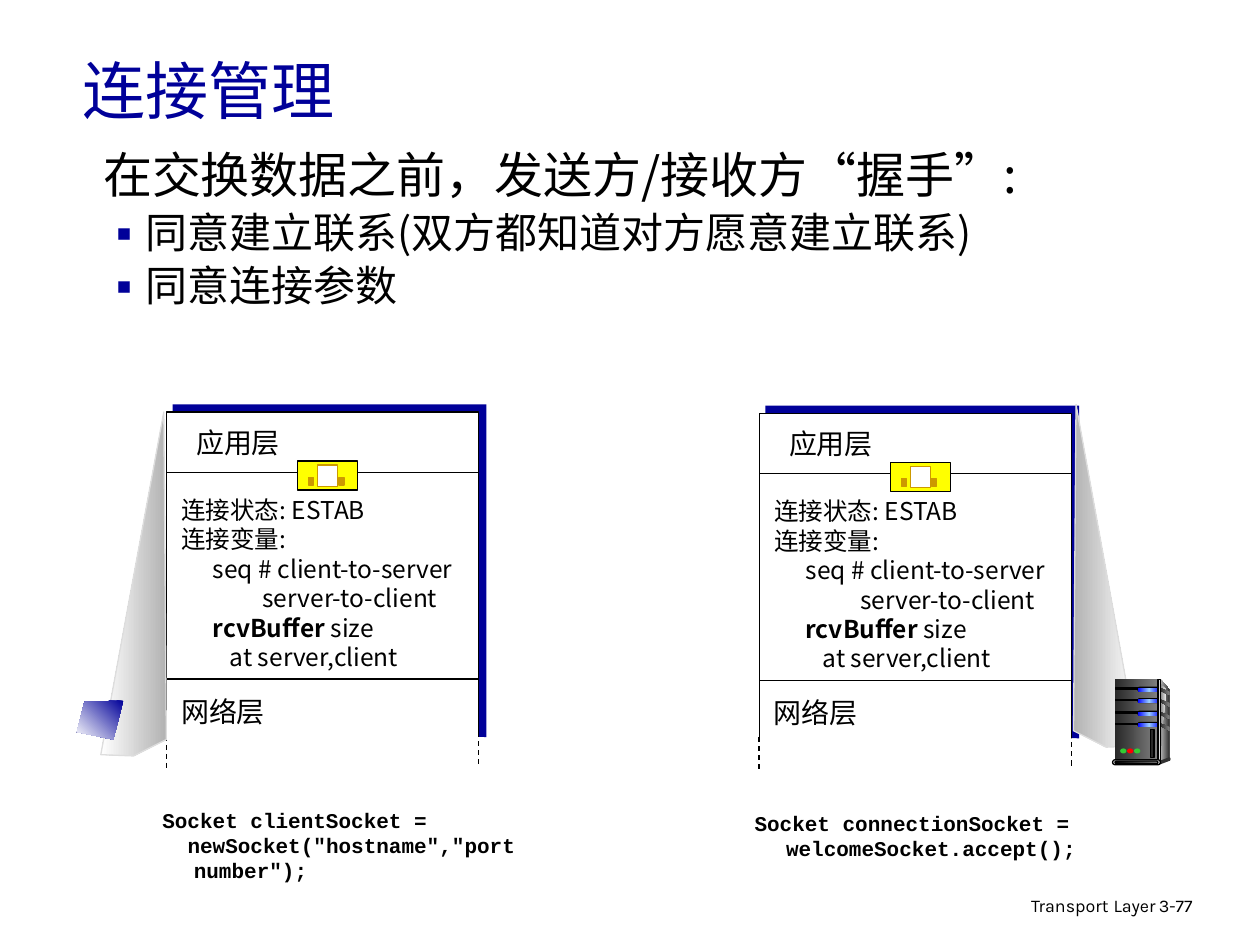
"""Build the connection management slide with two handshaking hosts."""
from dataclasses import dataclass

from pptx import Presentation
from pptx.dml.color import RGBColor as RGB
from pptx.enum.dml import MSO_LINE as Dash
from pptx.enum.shapes import MSO_CONNECTOR as Conn, MSO_SHAPE as Shape
from pptx.enum.text import MSO_ANCHOR as Anchor, PP_ALIGN as Align
from pptx.oxml import parse_xml
from pptx.oxml.ns import nsdecls, qn
from pptx.util import Inches, Pt

COLS, ROWS = 100, 75
CELL = Inches(10) // COLS
SANS, MONO, FOOT = "Noto Sans CJK SC", "Courier New", "Karla"
C = {
    "navy": "000099", "black": "000000", "white": "FFFFFF", "yellow": "FFFF00",
    "gold": "CC9900", "silver": "B2B2B2", "pale": "DDDDDD", "coal": "292929",
    "dark": "333333", "grey": "808080", "mist": "F8F8F8", "blue": "0000FF",
    "sky": "99CCFF", "green": "33CC33", "red": "FF0000",
}


@dataclass(frozen=True)
class Run:
    text: str
    size: float = 14
    font: str = SANS
    bold: bool = False
    color: str = "black"


@dataclass(frozen=True)
class Para:
    runs: tuple[Run, ...]
    left: float = 0
    first: float = 0
    before: float = 0
    spacing: float = 1
    align: Align = Align.LEFT
    bullet: str = ""


@dataclass(frozen=True)
class Host:
    x: float
    y: float
    reply_indent: float
    cone: tuple[tuple[float, float], ...]
    cone_angle: int


def cells(*values: float) -> list[int]:
    """Turn grid cells into slide lengths."""
    return [round(v * CELL) for v in values]


def paint(sp, fill: tuple[str, ...], line: str = "", angle: int = 0) -> None:
    """Fill with one colour or an even gradient, and outline on request."""
    sp.shadow.inherit = False
    if len(fill) == 1:
        sp.fill.solid()
        sp.fill.fore_color.rgb = RGB.from_string(C[fill[0]])
    else:
        stops = "".join(
            f'<a:gs pos="{100000 * i // (len(fill) - 1)}"><a:srgbClr val="{C[name]}"/></a:gs>'
            for i, name in enumerate(fill))
        sp.fill.gradient()
        old = sp._element.spPr.find(qn("a:gradFill"))
        old.getparent().replace(old, parse_xml(
            f'<a:gradFill {nsdecls("a")} rotWithShape="1"><a:gsLst>{stops}</a:gsLst>'
            f'<a:lin ang="{angle * 60000}" scaled="0"/></a:gradFill>'))
    if line:
        sp.line.color.rgb = RGB.from_string(C[line])
        sp.line.width = Pt(0.75)
    else:
        sp.line.fill.background()


def box(shapes, x: float, y: float, w: float, h: float, *fill: str,
        line: str = "", kind: Shape = Shape.RECTANGLE) -> None:
    """Draw a preset shape."""
    sp = shapes.add_shape(kind, *cells(x, y, w, h))
    if kind == Shape.ROUNDED_RECTANGLE:
        sp.adjustments[0] = 0.5
    paint(sp, fill, line)


def outline(shapes, points, *fill: str, line: str = "", angle: int = 0) -> None:
    """Draw a closed polygon."""
    start, *rest = [cells(*pt) for pt in points]
    builder = shapes.build_freeform(*start, scale=1.0)
    builder.add_line_segments(rest, close=True)
    paint(builder.convert_to_shape(), fill, line, angle)


def rule(shapes, x1: float, y1: float, x2: float, y2: float, dashed: bool = False) -> None:
    """Draw a thin black line."""
    cx = shapes.add_connector(Conn.STRAIGHT, *cells(x1, y1, x2, y2))
    cx.line.color.rgb = RGB.from_string(C["black"])
    cx.line.width = Pt(0.75)
    if dashed:
        cx.line.dash_style = Dash.DASH
    cx._element.spPr.append(parse_xml(f'<a:effectLst {nsdecls("a")}/>'))


def text(shapes, x: float, y: float, w: float, h: float, *paras: Para,
         anchor: Anchor = Anchor.TOP) -> None:
    """Add a text box, run by run."""
    tf = shapes.add_textbox(*cells(x, y, w, h)).text_frame
    tf.word_wrap, tf.vertical_anchor = True, anchor
    for i, para in enumerate(paras):
        p = tf.add_paragraph() if i else tf.paragraphs[0]
        pPr = p._p.get_or_add_pPr()
        left, first = cells(para.left, para.first)
        pPr.set("marL", str(left))
        pPr.set("indent", str(first))
        if para.bullet:
            for tag in (f'<a:buClr {nsdecls("a")}><a:srgbClr val="{C["navy"]}"/></a:buClr>',
                        f'<a:buFont {nsdecls("a")} typeface="{SANS}"/>',
                        f'<a:buChar {nsdecls("a")} char="{para.bullet}"/>'):
                pPr.append(parse_xml(tag))
        p.alignment, p.line_spacing, p.space_before = para.align, para.spacing, Pt(para.before)
        for run in para.runs:
            r = p.add_run()
            r.text = run.text
            r.font.size, r.font.name, r.font.bold = Pt(run.size), run.font, run.bold
            r.font.color.rgb = RGB.from_string(C[run.color])
            r._r.get_or_add_rPr().append(
                parse_xml(f'<a:ea {nsdecls("a")} typeface="{run.font}"/>'))


def draw_host(shapes, host: Host) -> None:
    """Draw one protocol stack with its socket and zoom cone."""
    x, y = host.x, host.y
    box(shapes, x + 0.5, y - 0.6, 24.9, 26.4, "navy")
    box(shapes, x, y, 24.8, 27, "white", line="black")
    for dy in (4.8, 21.2):
        rule(shapes, x, y + dy, x + 24.8, y + dy)
    text(shapes, x + 0.2, y + 6.1, 25.5, 17.4,
         Para((Run("连接状态: ESTAB"),)), Para((Run("连接变量:"),)),
         Para((Run("seq # client-to-server"),), left=2.5),
         Para((Run("server-to-client"),), left=host.reply_indent),
         Para((Run("rcvBuffer", bold=True), Run(" size")), left=2.5),
         Para((Run("at server,client"),), left=3.85))
    socket = shapes.add_group_shape().shapes
    box(socket, x + 10.4, y + 3.9, 4.8, 2.3, "yellow", line="black")
    box(socket, x + 12, y + 4.2, 1.6, 1.7, "white", line="gold")
    for dx in (11.3, 13.7):
        box(socket, x + dx, y + 5.2, 0.4, 0.6, "gold", line="gold")
    for label, dx, dy in (("应用层", 0.9, 0.6), ("网络层", -0.3, 21.9)):
        text(shapes, x + dx, y + dy, 9.6, 3.7,
             Para((Run(label, 16),), align=Align.CENTER))
    box(shapes, x - 0.3, y + 25.8, 25.5, 2, "white")
    for dx, dy in ((0, 25.7), (24.8, 25.4)):
        rule(shapes, x + dx, y + dy, x + dx, y + dy + 2.6, dashed=True)
    outline(shapes, host.cone, "silver", "white", line="pale", angle=host.cone_angle)


def draw_server(shapes) -> None:
    """Draw the server tower."""
    g = shapes.add_group_shape().shapes
    pill, dot = Shape.ROUNDED_RECTANGLE, Shape.OVAL
    outline(g, ((92.1, 53.9), (92.8, 54.7), (92.8, 60.1), (91.9, 60.4)), "pale", "dark")
    box(g, 88.5, 53.9, 3.4, 6.5, "coal", "grey")
    outline(g, ((92.1, 54.3), (92.6, 54.8), (92.2, 58), (92.1, 60.2)), "grey", "mist")
    for y in (54.6, 55.5, 56.5, 57.4):
        box(g, 88.55, y, 1.9, 0.1, "black", line="black")
        box(g, 90.25, y - 0.1, 1.9, 0.4, "black", kind=pill)
        box(g, 90.3, y, 1.8, 0.3, "blue", "sky", "blue", kind=pill)
        outline(g, ((92.05, y), (92.8, y + 0.3), (92.8, y + 0.6), (92.05, y + 0.2)),
                "coal", "grey")
    box(g, 91.9, 53.9, 0.2, 6.5, "dark", "pale", "dark", line="black")
    box(g, 92.7, 60.1, 0.2, 0.3, "dark", kind=dot)
    outline(g, ((92, 60.4), (92, 60.7), (92.8, 60.4), (92.8, 60.1)), "dark")
    box(g, 88.3, 60.3, 3.8, 0.4, "pale", line="black", kind=pill)
    box(g, 88.5, 60.4, 3.4, 0.2, "black", "grey", line="black", kind=pill)
    for i, color in enumerate(("green", "red", "green")):
        box(g, 88.9 + 0.55 * i, 59.4, 0.5, 0.4, color, kind=dot)
    box(g, 91.3, 57.9, 0.3, 2.2, "coal", line="black")


def code(line: str, first: float = -2.5) -> Para:
    """Make a code paragraph with a hanging indent."""
    return Para((Run(line, 12, MONO, True),), left=2.5, first=first)


def main() -> None:
    """Assemble and save the slide."""
    prs = Presentation()
    prs.slide_width, prs.slide_height = cells(COLS, ROWS)
    shapes = prs.slides.add_slide(prs.slide_layouts[6]).shapes
    text(shapes, 61, 70.5, 31.7, 3.1,
         Para((Run("Transport", 10.2, FOOT), Run(" ", 11.9, FOOT), Run("Layer", 10.2, FOOT)),
              spacing=0.9, align=Align.RIGHT))
    text(shapes, 91, 70.7, 7.4, 3, Para((Run("3-77", 10.2, FOOT),), spacing=0.9))
    text(shapes, 5.6, 2.1, 85, 10, Para((Run("连接管理", 36, color="navy"),)),
         anchor=Anchor.MIDDLE)
    points = [Para((Run(t, 24),), 3.1, -3.1, 6, 0.85, bullet="▪")
              for t in ("同意建立联系(双方都知道对方愿意建立联系)", "同意连接参数")]
    text(shapes, 7.2, 11.7, 91.2, 23.9,
         Para((Run("在交换数据之前，发送方/接收方“握手”:", 28),), 3.1, -3.1, spacing=0.85),
         *points)
    for host in (
        Host(13.2, 32.7, 6.45, ((8, 59.9), (13, 32.7), (13.2, 58.7), (10.6, 60)), 180),
        Host(60.25, 32.8, 6.85, ((90.3, 59.2), (85.4, 32.1), (85.2, 58), (87.8, 59.3)), 0),
    ):
        draw_host(shapes, host)
    text(shapes, 11.9, 63.6, 31.6, 7, code("Socket clientSocket ="),
         code('newSocket("hostname","port number");', -0.5))
    text(shapes, 58.9, 63.8, 31.6, 5,
         code("Socket connectionSocket = welcomeSocket.accept();"))
    outline(shapes, ((9.8, 55.6), (6.7, 55.7), (6.1, 58.1), (9, 58.7)),
            "navy", "white", angle=135)
    draw_server(shapes)
    prs.save("out.pptx")


if __name__ == "__main__":
    main()
